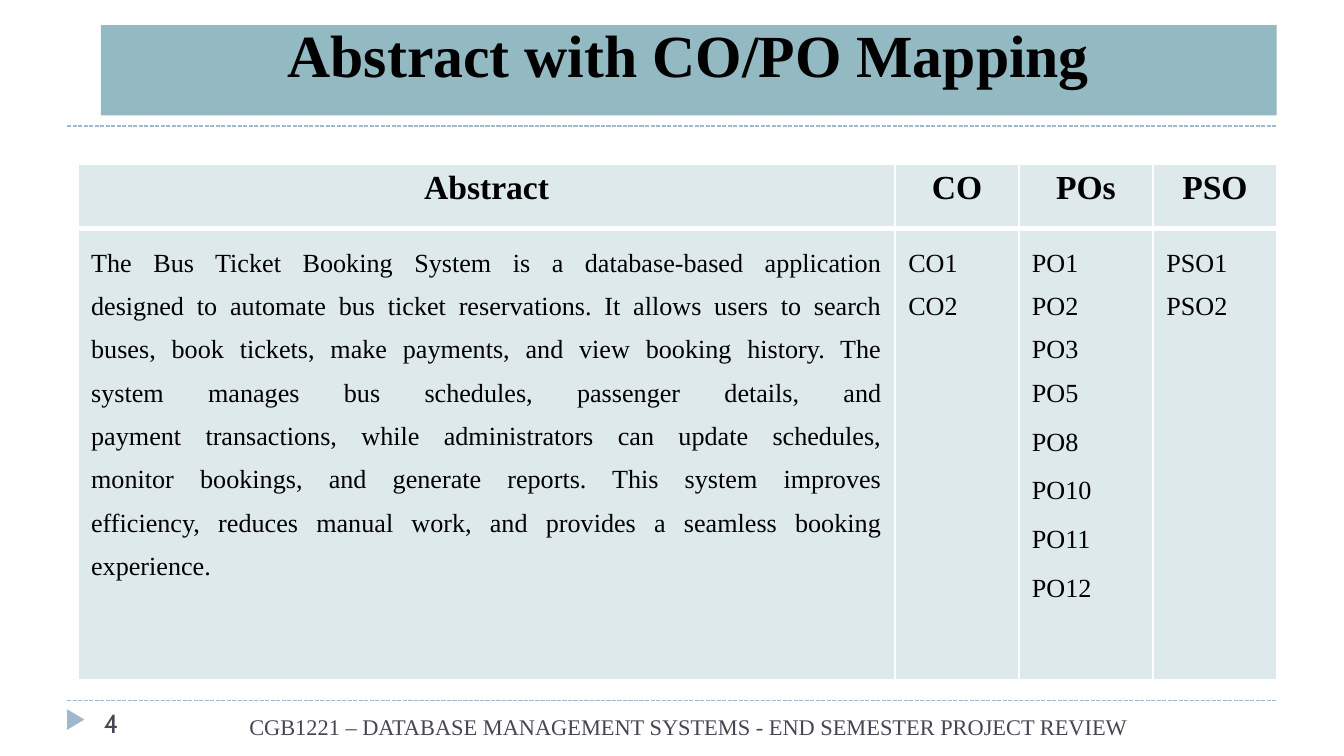
from copy import deepcopy

from lxml.etree import SubElement as Sub
from pptx import Presentation
from pptx.dml.color import RGBColor as RGB
from pptx.enum.dml import MSO_LINE as Dash
from pptx.enum.shapes import MSO_CONNECTOR as Conn, MSO_SHAPE as Form
from pptx.enum.text import MSO_ANCHOR as Anchor, PP_ALIGN as Align
from pptx.oxml.ns import qn
from pptx.util import Pt

HUES = {"band": "93B9C3", "rule": "9FB8CD", "cell": "DDE9EB",
        "edge": "FFFFFF", "ink": "000000", "foot": "464652"}
SERIF = "Times New Roman"
LEFT, WIDE = 36, 648

HEADS = ["Abstract", "CO", "POs", "PSO"]
COLS = [437.8, 66.2, 72, 66.2]
ROWS = [34.6, 241.9]
ABSTRACT = "\v".join([
    "The Bus Ticket Booking System is a database-based application",
    "designed to automate bus ticket reservations. It allows users to search",
    "buses, book tickets, make payments, and view booking history. The",
    "system manages bus schedules, passenger details, and",
    "payment transactions, while administrators can update schedules,",
    "monitor bookings, and generate reports. This system improves",
    "efficiency, reduces manual work, and provides a seamless booking",
    "experience."])
BODY = [[ABSTRACT], ["CO1\vCO2"],
        ["PO1\vPO2\vPO3\vPO5", "PO8", "PO10", "PO11", "PO12"],
        ["PSO1\vPSO2"]]


class Deck:
    """Holds the style and the slide being filled."""

    def __init__(self, wide, high):
        self.prs = Presentation()
        self.prs.slide_width, self.prs.slide_height = Pt(wide), Pt(high)
        self.slide = self.prs.slides.add_slide(self.prs.slide_layouts[6])
        self.shapes = self.slide.shapes

    def hue(self, name):
        return RGB.from_string(HUES[name])

    def paint(self, item, name):
        item.fill.solid()
        item.fill.fore_color.rgb = self.hue(name)

    def words(self, frame, lines, font, form, hue="ink", side=0):
        """Fill a frame, one paragraph a line; side indents left and right."""
        frame.word_wrap = True
        for key in ("left", "right", "top", "bottom"):
            setattr(frame, "margin_" + key, 0)
        for num, line in enumerate(lines):
            para = frame.add_paragraph() if num else frame.paragraphs[0]
            para.text = line
            for key, val in form.items():
                setattr(para, key, val)
            for run in para.runs:
                for key, val in font.items():
                    setattr(run.font, key, val)
                run.font.color.rgb = self.hue(hue)
            if side:
                for key in ("marL", "marR"):
                    para._p.get_or_add_pPr().set(key, str(Pt(side)))
            for gap in para._p.findall(qn("a:br")):
                gap.append(deepcopy(para.runs[0]._r.rPr))

    def rule(self, y):
        line = self.shapes.add_connector(
            Conn.STRAIGHT, Pt(LEFT), Pt(y), Pt(LEFT + WIDE), Pt(y))
        line.line.color.rgb = self.hue("rule")
        line.line.width = Pt(0.75)
        line.line.dash_style = Dash.SQUARE_DOT
        Sub(line._element.spPr, qn("a:effectLst"))

    def plain(self, shape, hue):
        self.paint(shape, hue)
        shape.line.fill.background()
        shape.shadow.inherit = False

    def block(self, box, hue):
        shape = self.shapes.add_shape(Form.RECTANGLE, *map(Pt, box))
        self.plain(shape, hue)
        return shape.text_frame

    def wedge(self, dots, hue):
        pen = self.shapes.build_freeform(*map(Pt, dots[0]), scale=1.0)
        pen.add_line_segments([tuple(map(Pt, dot)) for dot in dots[1:]])
        self.plain(pen.convert_to_shape(), hue)

    def label(self, box, text, font, form, hue):
        frame = self.shapes.add_textbox(*map(Pt, box)).text_frame
        self.words(frame, [text], font, form, hue)

    def edge(self, cell, **sizes):
        """Add cell borders, then move the fill after them as XML order asks."""
        props = cell._tc.get_or_add_tcPr()
        for side in "LRTB":
            line = Sub(props, qn("a:ln" + side), w=str(Pt(sizes.get(side, 1))))
            Sub(Sub(line, qn("a:solidFill")), qn("a:srgbClr"),
                val=HUES["edge"])
        props.append(props.find(qn("a:solidFill")))

    def table(self, x, y):
        grid = self.shapes.add_table(
            len(ROWS), len(COLS), Pt(x), Pt(y),
            Pt(sum(COLS)), Pt(sum(ROWS))).table
        for col, wide in zip(grid.columns, COLS):
            col.width = Pt(wide)
        for row, high in zip(grid.rows, ROWS):
            row.height = Pt(high)
        head = {"name": SERIF, "size": Pt(18), "bold": True}
        body = {"name": SERIF, "size": Pt(14), "bold": False}
        for num, (name, lines) in enumerate(zip(HEADS, BODY)):
            top, low = grid.cell(0, num), grid.cell(1, num)
            for cell in (top, low):
                self.paint(cell, "cell")
            self.edge(top, B=3)
            self.edge(low, T=3)
            self.words(top.text_frame, [name], head,
                       {"alignment": Align.CENTER, "space_before": Pt(3)})
            form = {"alignment": Align.LEFT if num else Align.JUSTIFY,
                    "space_before": Pt(3), "line_spacing": 1.5}
            self.words(low.text_frame, lines, body, form, side=7)
            for cell in (top, low):
                cell.margin_left = cell.margin_right = cell.margin_bottom = 0
                cell.margin_top = Pt(3)


def main():
    deck = Deck(720, 405)
    for y in (375.2, 67.6):
        deck.rule(y)
    deck.wedge([(36, 380), (36, 391), (45.2, 385.5)], "rule")

    title = deck.block((54, 13.5, 630, 48.4), "band")
    title.vertical_anchor = Anchor.TOP
    deck.words(title, ["Abstract with CO/PO Mapping"],
               {"name": SERIF, "size": Pt(32), "bold": True},
               {"alignment": Align.CENTER, "line_spacing": Pt(34.4)})

    deck.label((55.6, 378.9, 15, 18), "4",
               {"name": "Cabin", "size": Pt(14)}, {}, "foot")
    deck.label((126, 382.6, 486, 14.4),
               "CGB1221 – DATABASE MANAGEMENT SYSTEMS"
               " - END SEMESTER PROJECT REVIEW",
               {"name": SERIF, "size": Pt(12)},
               {"alignment": Align.CENTER, "line_spacing": Pt(14.1)}, "foot")
    deck.table(41.8, 88)
    deck.prs.save("out.pptx")


if __name__ == "__main__":
    main()
